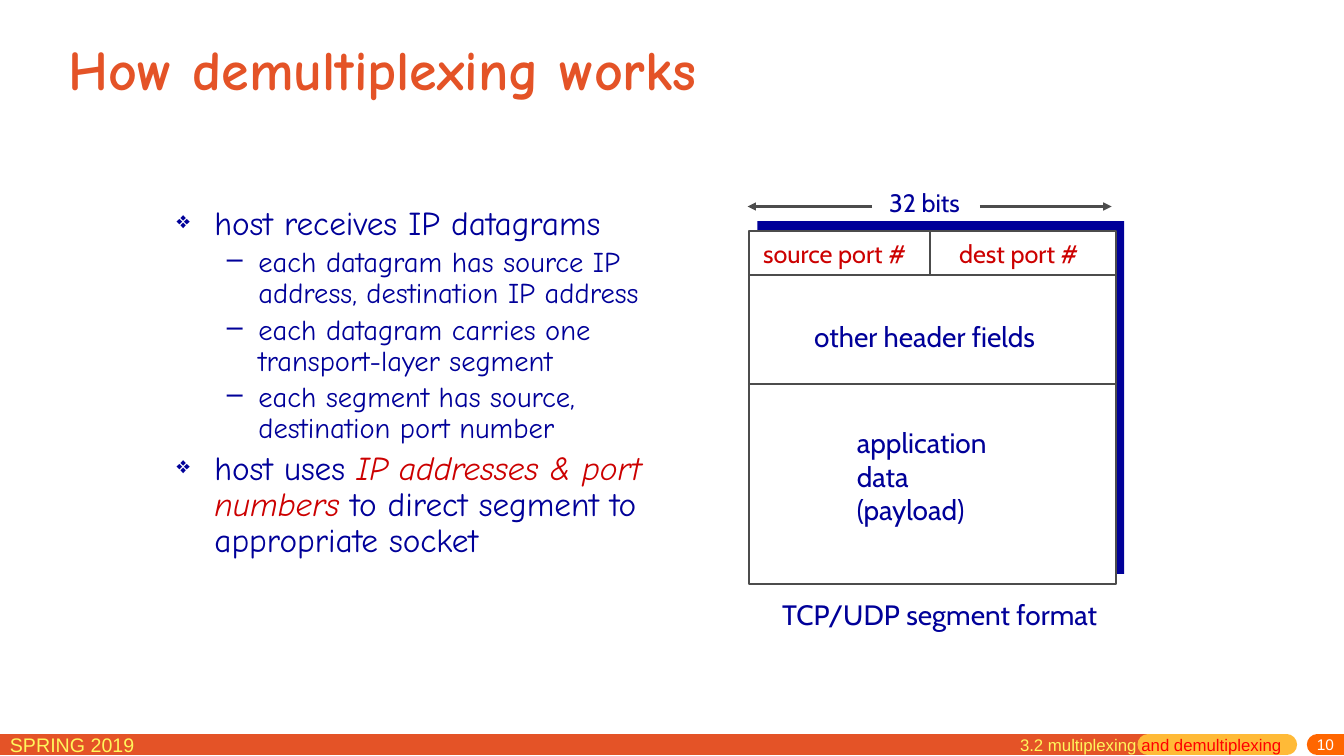
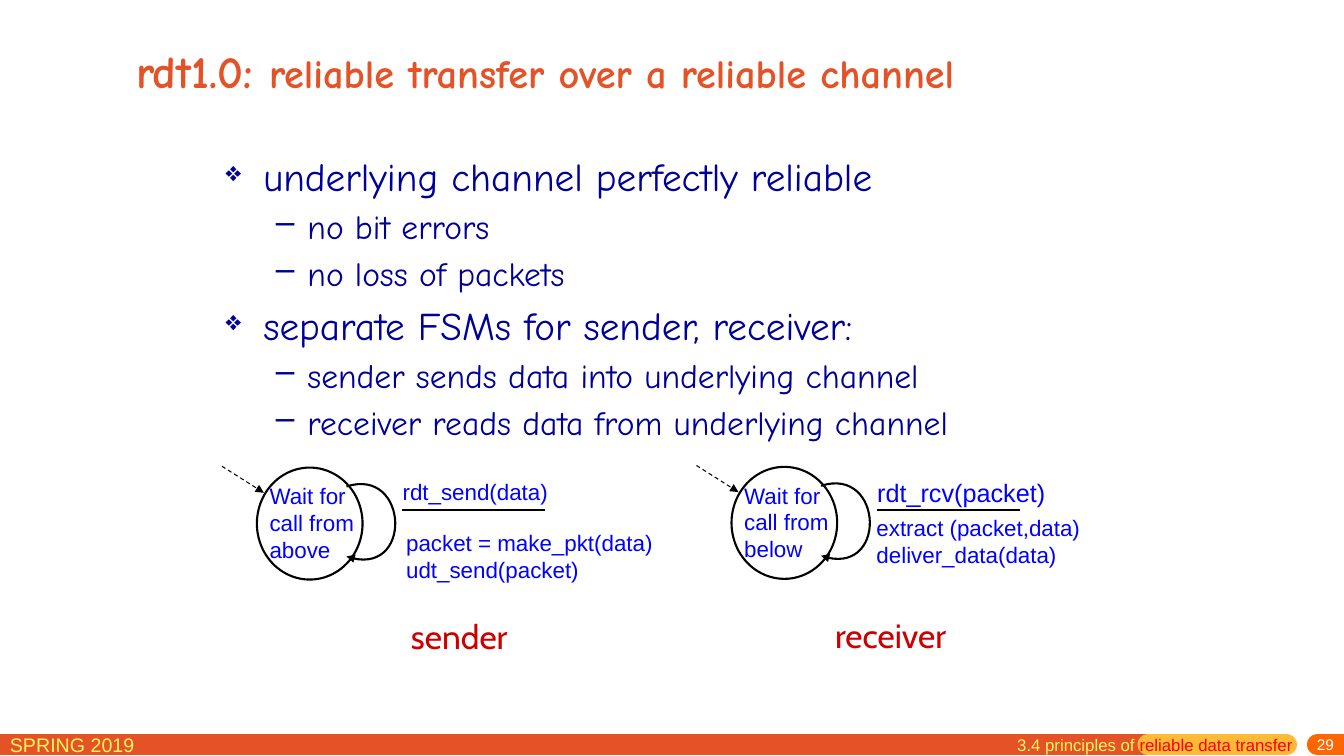
from lxml.etree import SubElement
from pptx import Presentation
from pptx.dml.color import RGBColor
from pptx.enum.dml import MSO_LINE
from pptx.enum.shapes import MSO_CONNECTOR, MSO_SHAPE
from pptx.enum.text import MSO_ANCHOR, MSO_AUTO_SIZE, PP_ALIGN
from pptx.oxml.ns import qn
from pptx.util import Pt

COLORS = {
    "orange": "E45327", "amber": "FFBA37", "badge": "FF6600", "lemon": "FFF65C",
    "navy": "000099", "crimson": "CC0000", "red": "FF0000", "blue": "0000FF",
    "gray": "4C4C4C", "black": "000000", "white": "FFFFFF",
}
HEADING, LABEL, PLAIN = "Comic Neue", "Cabin", "Arial"
WIDTH, HEIGHT = 960, 540
BAND_Y, BAND_WEIGHT = 532, 15
TITLE_ONLY = 5
# bullet character, size in percent, left margin, hanging indent
BULLETS = [("❖", 70, 27, 27), ("–", 100, 58.5, 22.5)]


def rgb(name):
    return RGBColor.from_string(COLORS[name])


def style(font, size=None, color=None, face=None, bold=None, italic=None):
    if size:
        font.size = Pt(size)
    if color:
        font.color.rgb = rgb(color)
    if face:
        font.name = face
    if bold is not None:
        font.bold = bold
    if italic is not None:
        font.italic = italic


def fill_para(para, content, **font):
    """Write a string, or (text, differing font settings) pairs, into a paragraph."""
    pairs = [(content, {})] if isinstance(content, str) else content
    style(para.font, **font)
    for text, changes in pairs:
        span = para.add_run()
        span.text = text
        style(span.font, **changes)


def add_text(page, left, top, width, height, lines, **font):
    box = page.shapes.add_textbox(Pt(left), Pt(top), Pt(width), Pt(height))
    frame = box.text_frame
    frame.word_wrap = True
    for index, line in enumerate(lines):
        para = frame.add_paragraph() if index else frame.paragraphs[0]
        fill_para(para, line, **font)
    return frame


def add_arrowhead(line_shape):
    line = line_shape.line._get_or_add_ln()
    SubElement(line, qn("a:tailEnd"), type="triangle")


def add_line(page, x1, y1, x2, y2, color, weight=1.5, arrow=False, dashed=False,
             rounded=False):
    line = page.shapes.add_connector(
        MSO_CONNECTOR.STRAIGHT, Pt(x1), Pt(y1), Pt(x2), Pt(y2))
    line.line.color.rgb = rgb(color)
    line.line.width = Pt(weight)
    if dashed:
        line.line.dash_style = MSO_LINE.DASH
    if rounded:
        line.line._get_or_add_ln().set("cap", "rnd")
    if arrow:
        add_arrowhead(line)
    SubElement(line._element.spPr, qn("a:effectLst"))


def add_block(page, kind, left, top, width, height, fill, outline=None):
    block = page.shapes.add_shape(kind, Pt(left), Pt(top), Pt(width), Pt(height))
    block.shadow.inherit = False
    block.fill.solid()
    block.fill.fore_color.rgb = rgb(fill)
    if outline:
        block.line.color.rgb = rgb(outline)
        block.line.width = Pt(1.5)
    else:
        block.line.fill.background()


def add_loop(page, start, control1, control2, end):
    """Draw an arrow along a cubic curve."""
    steps = 32
    points = []
    for step in range(steps + 1):
        t = step / steps
        weights = ((1 - t) ** 3, 3 * t * (1 - t) ** 2, 3 * t * t * (1 - t), t ** 3)
        points.append(tuple(
            Pt(sum(weight * point[axis] for weight, point
                   in zip(weights, (start, control1, control2, end))))
            for axis in (0, 1)))
    builder = page.shapes.build_freeform(*points[0], scale=1.0)
    builder.add_line_segments(points[1:], close=False)
    loop = builder.convert_to_shape()
    loop.shadow.inherit = False
    loop.fill.background()
    loop.line.color.rgb = rgb("black")
    loop.line.width = Pt(1.5)
    add_arrowhead(loop)


def add_footer(page, number, topic_left, topic):
    for start, end, color in ((0, 820, "orange"), (820, 919, "amber"),
                              (941, WIDTH, "badge")):
        add_line(page, start, BAND_Y, end, BAND_Y, color, BAND_WEIGHT, rounded=True)
    add_text(page, 0, 520, 165, 22, ["SPRING 2019"],
             size=14, color="lemon", face=PLAIN)
    frame = add_text(page, 774, 527, 186, 13, [number],
                     size=11, color="white", face=PLAIN)
    frame.margin_top, frame.margin_bottom = 0, Pt(3.6)
    frame.vertical_anchor = MSO_ANCHOR.MIDDLE
    frame.paragraphs[0].alignment = PP_ALIGN.RIGHT
    plain, marked = topic
    add_text(page, topic_left, 521, 220, 22,
             [[(plain, {"color": "lemon"}), (marked, {"color": "red"})]],
             size=12, face=PLAIN)


def add_page(deck, title, title_box, **title_font):
    page = deck.slides.add_slide(deck.slide_layouts[TITLE_ONLY])
    heading = page.shapes.title
    heading.left, heading.top, heading.width, heading.height = map(Pt, title_box)
    frame = heading.text_frame
    frame.auto_size = MSO_AUTO_SIZE.NONE
    frame.vertical_anchor = MSO_ANCHOR.MIDDLE
    para = frame.paragraphs[0]
    para.alignment = PP_ALIGN.LEFT
    fill_para(para, title, color="orange", face=HEADING, bold=True, **title_font)
    return page


def add_outline(page, left, top, width, height, items, sizes, spacing=1.0):
    """Place a two-level bulleted list of (level, content) items."""
    frame = add_text(page, left, top, width, height, [])
    for index, (level, content) in enumerate(items):
        para = frame.add_paragraph() if index else frame.paragraphs[0]
        char, percent, margin, hang = BULLETS[level]
        para.level = level
        props = para._p.get_or_add_pPr()
        props.set("marL", str(Pt(margin)))
        props.set("indent", str(-Pt(hang)))
        color = SubElement(props, qn("a:buClr"))
        SubElement(color, qn("a:srgbClr"), val=COLORS["navy"])
        SubElement(props, qn("a:buSzPct"), val=str(percent * 1000))
        SubElement(props, qn("a:buChar"), char=char)
        para.line_spacing = spacing
        if index:
            para.space_before = Pt(round(sizes[level] * 0.2, 1))
        fill_para(para, content, size=sizes[level], color="navy", face=HEADING)


def add_segment(page, left, top, width, height):
    """Draw the segment layout with its width marker and caption."""
    right = left + width
    ports_bottom, header_bottom, port_split = top + 31.5, top + 109.5, left + 129
    add_block(page, MSO_SHAPE.RECTANGLE, left + 6, top - 7, width, height, "navy")
    add_block(page, MSO_SHAPE.RECTANGLE, left, top, width, height, "white", "gray")
    for y in (ports_bottom, header_bottom):
        add_line(page, left, y, right, y, "gray")
    add_line(page, port_split, top, port_split, ports_bottom, "gray")
    marker_y = top - 17.5
    add_line(page, left + 165, marker_y, right - 3, marker_y, "gray", arrow=True)
    add_line(page, left + 88, marker_y, left - 1, marker_y, "gray", arrow=True)
    labels = [
        (3, 1.5, 123, 29, ["source port #"], 18, "crimson"),
        (143, 1.5, 110, 29, ["dest port #"], 18, "crimson"),
        (93, -34.5, 75, 29, ["32 bits"], 18, "navy"),
        (70, 135.5, 115, 79, ["application", "data", "(payload)"], 20, "navy"),
        (39.5, 60, 185, 31, ["other header fields"], 20, "navy"),
        (16.5, 258.5, 250, 31, ["TCP/UDP segment format"], 20, "navy"),
    ]
    for x, y, wide, high, lines, size, color in labels:
        add_text(page, left + x, top + y, wide, high, lines,
                 size=size, color=color, face=LABEL)


def add_state_machine(page, left, top, state, event, event_size, actions,
                      actions_at, name, name_x):
    """Draw a one-state machine whose circle starts at left, top."""
    code = {"color": "blue", "face": PLAIN}
    add_block(page, MSO_SHAPE.OVAL, left, top, 75.5, 80, "white", "black")
    add_text(page, left + 2, top + 7, 86, 72, [state], size=16, **code)
    add_loop(page, *((left + x, top + y) for x, y in
                     ((64, 13.5), (109, -1), (112, 80), (64, 63.5))))
    add_line(page, left - 25, top - 1, left + 5, top + 18, "black", 0.75,
             arrow=True, dashed=True)
    add_text(page, left + 97, top + 4, 178, 30, [event], size=event_size, **code)
    add_line(page, left + 104, top + 30.5, left + 206, top + 30.5, "black")
    action_x, action_y = actions_at
    add_text(page, left + action_x, top + action_y, 211, 46, actions, size=16, **code)
    add_text(page, left + name_x, top + 102.5, 100, 36, [name],
             size=24, color="crimson", face=LABEL)


def build_demultiplexing(deck):
    page = add_page(deck, "How demultiplexing works", (42, 20, 877, 57), size=40)
    add_outline(page, 119, 144, 384, 266, [
        (0, "host receives IP datagrams"),
        (1, "each datagram has source IP address, destination IP address"),
        (1, "each datagram carries one transport-layer segment"),
        (1, "each segment has source, destination port number"),
        (0, [("host uses ", {}),
             ("IP addresses & port numbers", {"color": "crimson", "italic": True}),
             (" to direct segment to appropriate socket", {})]),
    ], (23.8, 20.4), spacing=0.9)
    add_segment(page, 535, 165, 262, 252)
    add_footer(page, "10", 721.5, ("3.2 multiplexing", " and demultiplexing"))


def build_reliable_channel(deck):
    title = [("rdt1.0: ", {"size": 32.4}),
             ("reliable transfer over a reliable channel", {"size": 28.8})]
    page = add_page(deck, title, (90, 11, 714, 79))
    add_outline(page, 154, 105, 622, 238, [
        (0, "underlying channel perfectly reliable"),
        (1, "no bit errors"),
        (1, "no loss of packets"),
        (0, "separate FSMs for sender, receiver:"),
        (1, "sender sends data into underlying channel"),
        (1, "receiver reads data from underlying channel"),
    ], (28, 24))
    add_state_machine(page, 183.5, 334, "Wait for call from above",
                      "rdt_send(data)", 16,
                      ["packet = make_pkt(data)", "udt_send(packet)"], (99.5, 40.5),
                      "sender", 103)
    add_state_machine(page, 522.5, 333.5, "Wait for call from below",
                      "rdt_rcv(packet)", 18,
                      ["extract (packet,data)", "deliver_data(data)"], (96.5, 30),
                      "receiver", 67)
    add_footer(page, "29", 719.5, ("3.4 principles of ", "reliable data transfer"))


def main():
    deck = Presentation()
    deck.slide_width, deck.slide_height = Pt(WIDTH), Pt(HEIGHT)
    build_demultiplexing(deck)
    build_reliable_channel(deck)
    deck.save("out.pptx")


if __name__ == "__main__":
    main()
